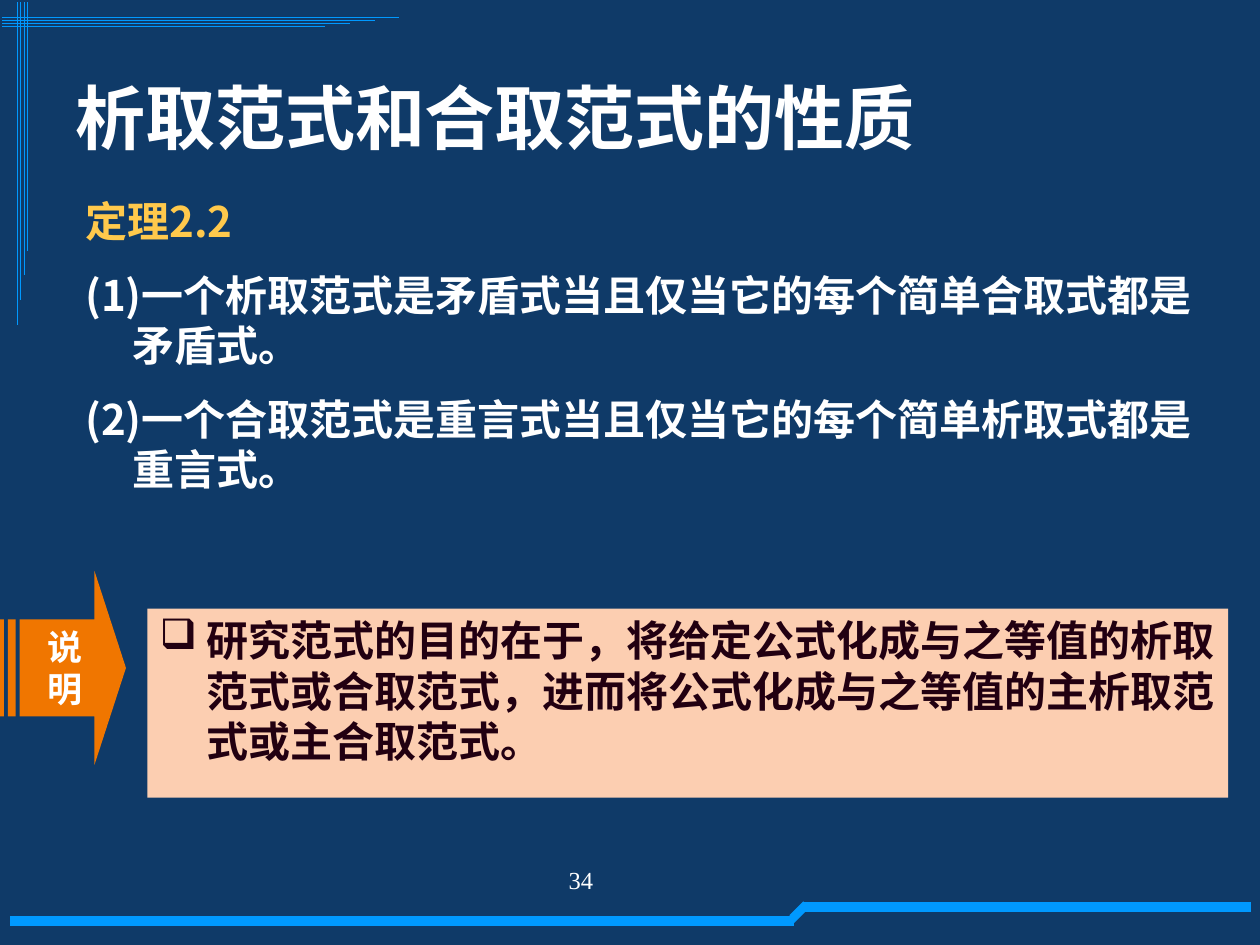
"""Build the slide on properties of disjunctive and conjunctive normal forms."""
from lxml.etree import SubElement
from pptx import Presentation
from pptx.dml.color import RGBColor
from pptx.enum.shapes import MSO_CONNECTOR, MSO_SHAPE
from pptx.enum.text import MSO_ANCHOR, PP_ALIGN
from pptx.oxml.ns import qn
from pptx.util import Cm, Pt

NAVY, BLUE, WHITE, YELLOW = "0F3A68", "0099FF", "FFFFFF", "FFC94C"
ORANGE, PEACH, DARK = "F07600", "FCCEB1", "220011"
CHINESE = "Noto Sans CJK SC"
INDENT = 0.95

TITLE = "析取范式和合取范式的性质"
THEOREM = [
    ("定理2.2", YELLOW),
    ("(1)一个析取范式是矛盾式当且仅当它的每个简单合取式都是矛盾式。", WHITE),
    ("(2)一个合取范式是重言式当且仅当它的每个简单析取式都是重言式。", WHITE),
]
LABEL = "说明"
REMARK = "研究范式的目的在于，将给定公式化成与之等值的析取范式或合取范式，进而将公式化成与之等值的主析取范式或主合取范式。"
PAGE_NUMBER = "34"
FOOTER_PATH = [
    (0.2, 18.52, 16, 18.52),
    (15.95, 18.49, 16.23, 18.21),
    (16.21, 18.24, 25.22, 18.24),
]


def color(value):
    return RGBColor.from_string(value)


def add_line(page, x1, y1, x2, y2, width):
    line = page.shapes.add_connector(
        MSO_CONNECTOR.STRAIGHT, Cm(x1), Cm(y1), Cm(x2), Cm(y2))
    line.line.color.rgb = color(BLUE)
    line.line.width = Pt(width)
    SubElement(line._element.spPr, qn("a:effectLst"))


def add_shape(page, kind, place, fill):
    shape = page.shapes.add_shape(kind, *map(Cm, place))
    shape.shadow.inherit = False
    shape.fill.solid()
    shape.fill.fore_color.rgb = color(fill)
    shape.line.fill.background()
    return shape


def write(box, items, size, font=CHINESE, bold=True, align=PP_ALIGN.LEFT,
          anchor=MSO_ANCHOR.TOP, hanging=False, bullet=None):
    frame = box.text_frame
    frame.word_wrap = True
    frame.vertical_anchor = anchor
    frame.text = "\n".join(text for text, _ in items)
    for index, (para, (_, ink)) in enumerate(zip(frame.paragraphs, items)):
        para.alignment = align
        if index:
            para.space_before = Pt(13.5)
        properties = para._p.get_or_add_pPr()
        if hanging:
            properties.set("marL", str(Cm(INDENT)))
            properties.set("indent", str(-Cm(INDENT)))
        if bullet:
            SubElement(properties, qn("a:buChar"), char=bullet)
        for span in para.runs:
            span.font.size = Pt(size)
            span.font.bold = bold
            span.font.name = font
            span.font.color.rgb = color(ink)
            SubElement(span._r.get_or_add_rPr(), qn("a:ea"), typeface=CHINESE)


def add_text(page, place, items, size, **style):
    write(page.shapes.add_textbox(*map(Cm, place)), items, size, **style)


def main():
    deck = Presentation()
    deck.slide_width, deck.slide_height = Cm(25.4), Cm(19.05)
    page = deck.slides.add_slide(deck.slide_layouts[6])
    page.background.fill.solid()
    page.background.fill.fore_color.rgb = color(NAVY)

    for x1, y1, x2, y2 in FOOTER_PATH:
        add_line(page, x1, y1, x2, y2, 3)
        add_line(page, x1, y1 + 0.1, x2, y2 + 0.1, 3)
    for step in range(4):
        across, down = 0.35 + 0.06 * step, 0.35 + 0.07 * step
        add_line(page, 0.05, across, 8.05 - 0.5 * step, across, 0.75)
        add_line(page, down, 0.05, down, 6.55 - 0.5 * step, 0.75)

    add_text(page, (8.75, 17.32, 5.92, 1.32), [(PAGE_NUMBER, WHITE)], 14,
             font="Times New Roman", bold=False, align=PP_ALIGN.CENTER)
    add_text(page, (1.47, 3.81, 23.06, 7.42), THEOREM, 24, hanging=True)
    arrow = add_shape(page, MSO_SHAPE.STRIPED_RIGHT_ARROW,
                      (0, 11.51, 2.54, 3.91), ORANGE)
    arrow.adjustments[1] = 0.25
    write(arrow, [(LABEL, WHITE)], 20, font="Arial",
          align=PP_ALIGN.CENTER, anchor=MSO_ANCHOR.MIDDLE)
    panel = add_shape(page, MSO_SHAPE.RECTANGLE,
                      (2.97, 12.27, 21.79, 3.81), PEACH)
    write(panel, [(REMARK, DARK)], 24, hanging=True, bullet="❑")
    add_text(page, (1.27, 0.76, 22.86, 3.18), [(TITLE, WHITE)], 40,
             anchor=MSO_ANCHOR.MIDDLE)
    deck.save("out.pptx")


if __name__ == "__main__":
    main()
